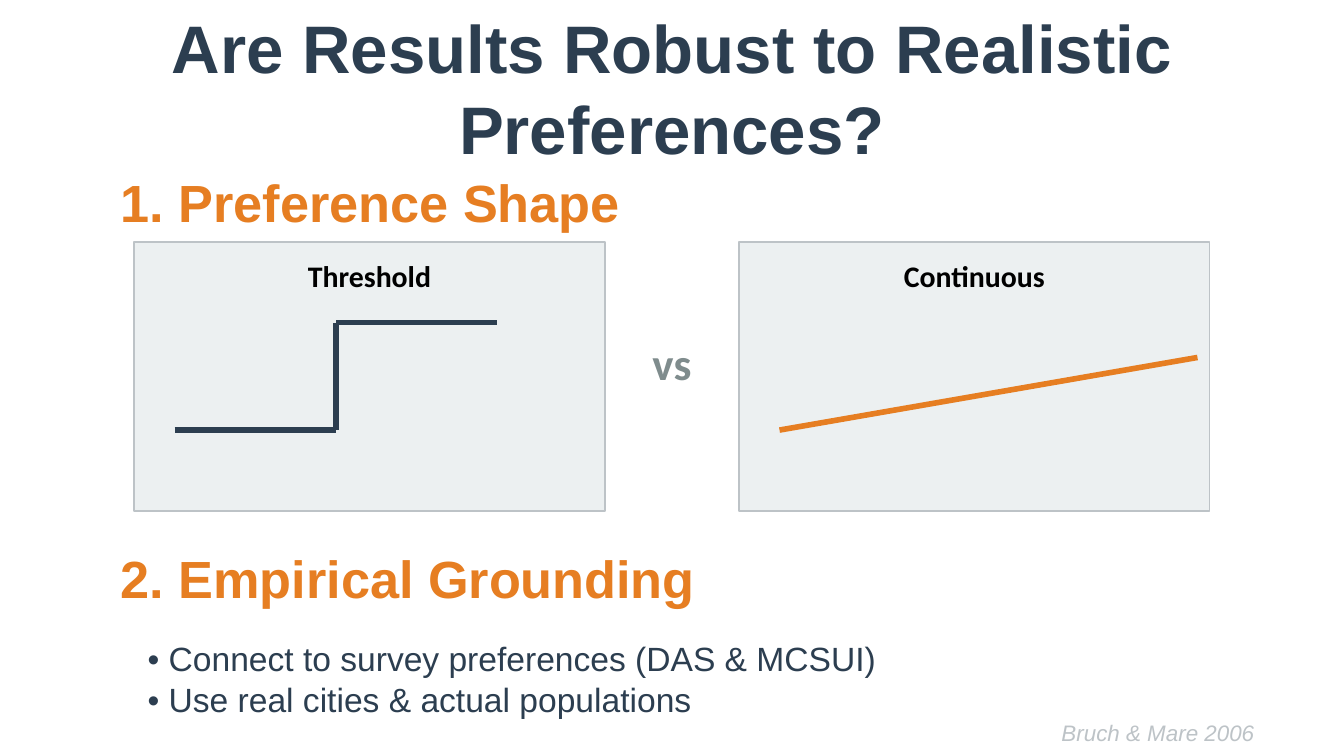
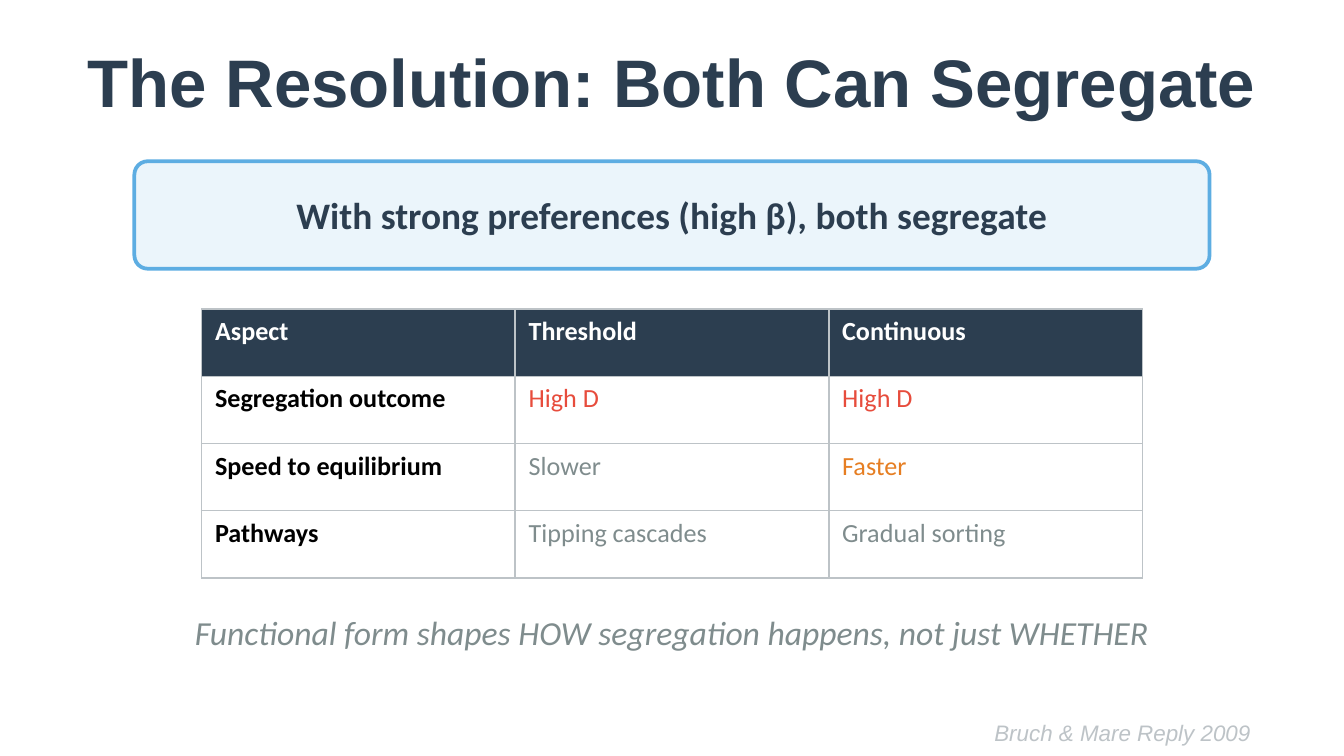
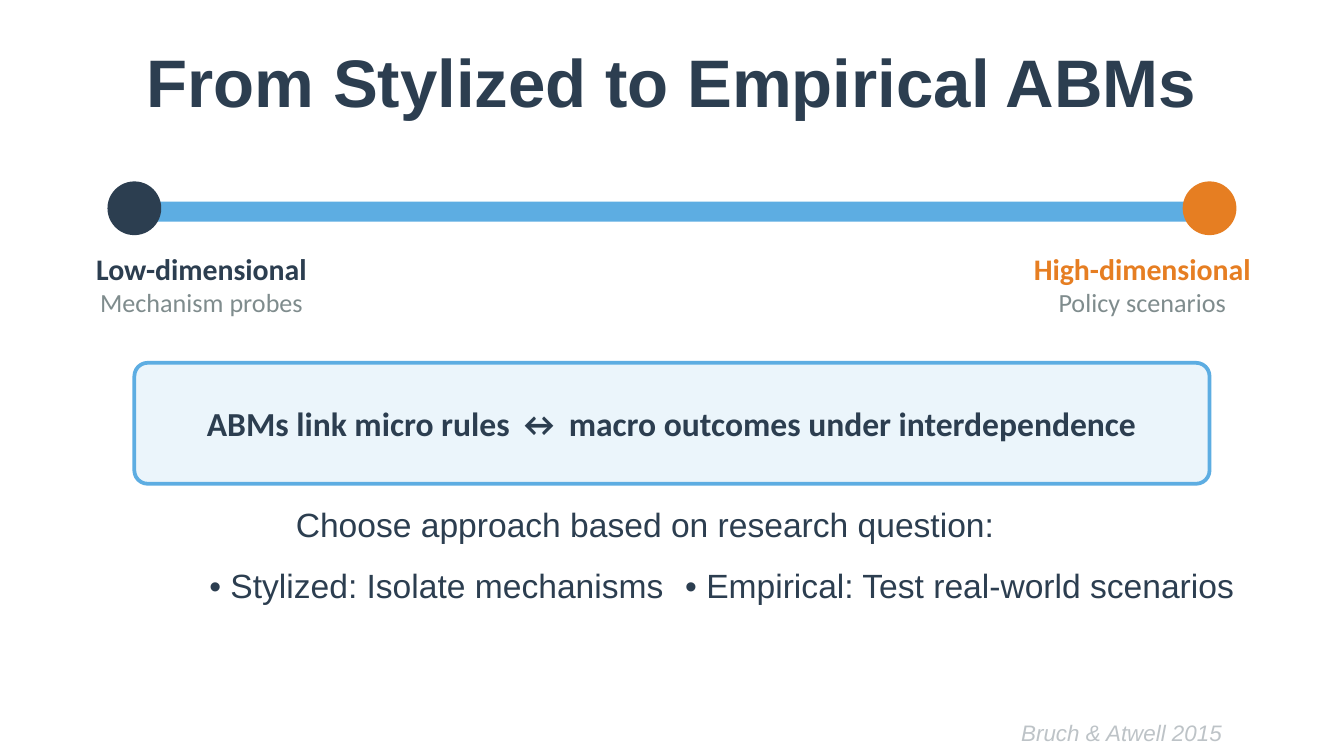
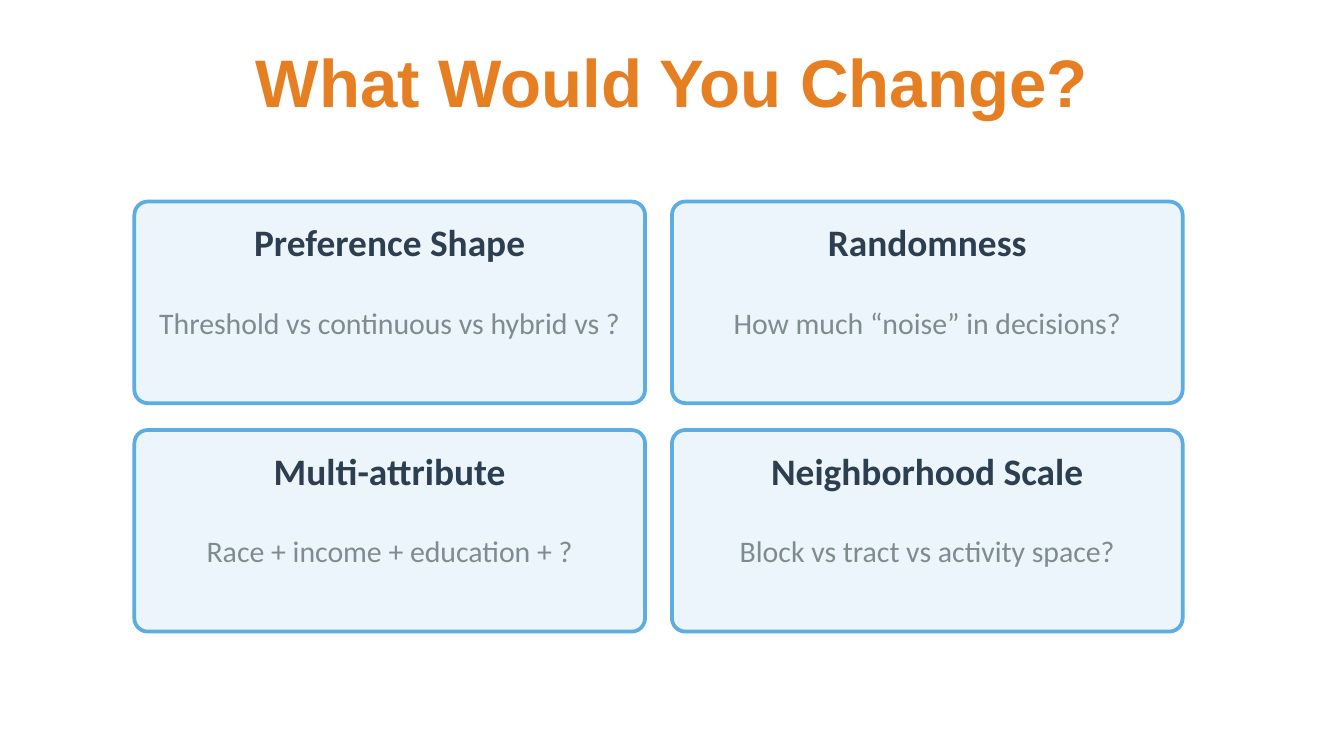
"""Build four slides on segregation models and realistic preferences."""
from dataclasses import dataclass
from itertools import pairwise

from lxml.etree import SubElement
from pptx import Presentation
from pptx.dml.color import RGBColor
from pptx.enum.shapes import MSO_CONNECTOR, MSO_SHAPE
from pptx.enum.text import MSO_ANCHOR, PP_ALIGN
from pptx.oxml.ns import qn
from pptx.presentation import Presentation as Deck
from pptx.shapes.autoshape import Shape
from pptx.slide import Slide
from pptx.table import _Cell
from pptx.text.text import _Paragraph
from pptx.util import Inches, Pt

COLORS = {
    "navy": "2C3E50", "orange": "E67E22", "gray": "7F8C8D", "silver": "BDC3C7",
    "cloud": "ECF0F1", "sky": "5DADE2", "ice": "EBF5FB", "red": "E74C3C",
    "black": "000000", "white": "FFFFFF",
}
HEAD, BODY = "Arial", "Calibri"
CORNER = 0.1


@dataclass(frozen=True)
class Box:
    left: float
    top: float
    width: float
    height: float

    def emu(self) -> list[int]:
        return [Inches(v) for v in (self.left, self.top, self.width, self.height)]


@dataclass(frozen=True)
class Panel:
    left: float
    label: str
    color: str
    points: list[tuple[float, float]]


@dataclass(frozen=True)
class Pole:
    center: float
    label_left: float
    label: str
    use: str
    color: str


@dataclass(frozen=True)
class Card:
    heading: str
    question: str


def rgb(name: str) -> RGBColor:
    return RGBColor.from_string(COLORS[name])


def style(p: _Paragraph, text: str, *, size: int, font: str = BODY, color: str = "navy",
          bold: bool = False, italic: bool = False) -> None:
    r = p.add_run()
    r.text = text
    r.font.size, r.font.name = Pt(size), font
    r.font.bold, r.font.italic = bold, italic
    r.font.color.rgb = rgb(color)


def add_text(s: Slide, box: Box, *lines: str, center: bool = True, **fmt) -> None:
    tf = s.shapes.add_textbox(*box.emu()).text_frame
    tf.word_wrap = True
    tf.vertical_anchor = MSO_ANCHOR.MIDDLE
    for i, line in enumerate(lines):
        p = tf.paragraphs[0] if i == 0 else tf.add_paragraph()
        p.alignment = PP_ALIGN.CENTER if center else PP_ALIGN.LEFT
        style(p, line, **fmt)


def add_box(s: Slide, kind: MSO_SHAPE, box: Box, fill: str, line: str | None = None,
            width: float = 1) -> Shape:
    sp = s.shapes.add_shape(kind, *box.emu())
    sp.shadow.inherit = False
    sp.fill.solid()
    sp.fill.fore_color.rgb = rgb(fill)
    if line:
        sp.line.color.rgb = rgb(line)
        sp.line.width = Pt(width)
    else:
        sp.line.fill.background()
    return sp


def add_callout(s: Slide, box: Box) -> None:
    sp = add_box(s, MSO_SHAPE.ROUNDED_RECTANGLE, box, "ice", "sky", 2)
    sp.adjustments[0] = CORNER / box.height


def add_line(s: Slide, start: tuple[float, float], end: tuple[float, float],
             color: str) -> None:
    cx = s.shapes.add_connector(MSO_CONNECTOR.STRAIGHT, *map(Inches, start + end))
    cx.line.color.rgb = rgb(color)
    cx.line.width = Pt(3)
    SubElement(cx._element.spPr, qn("a:effectLst"))


def add_borders(cell: _Cell) -> None:
    tcPr = cell._tc.get_or_add_tcPr()
    for i, side in enumerate(("lnL", "lnR", "lnT", "lnB")):
        ln = SubElement(tcPr, qn(f"a:{side}"), w=str(Pt(1)))
        fill = SubElement(ln, qn("a:solidFill"))
        SubElement(fill, qn("a:srgbClr"), val=COLORS["silver"])
        tcPr.insert(i, ln)


def add_slide(prs: Deck, title: str, *, color: str = "navy", height: float = 0.6) -> Slide:
    s = prs.slides.add_slide(prs.slide_layouts[6])
    add_text(s, Box(0.5, 0.3, 9, height), title, size=36, font=HEAD, color=color, bold=True)
    return s


def add_source(s: Slide, text: str, width: float) -> None:
    add_text(s, Box(9.8 - width, 5.3, width, 0.3), text, center=False,
             size=12, font=HEAD, color="silver", italic=True)


def add_robustness(prs: Deck) -> None:
    s = add_slide(prs, "Are Results Robust to Realistic Preferences?", height=0.7)
    for top, width, heading in ((1.3, 4, "1. Preference Shape"),
                                (4.1, 5, "2. Empirical Grounding")):
        add_text(s, Box(0.8, top, width, 0.4), heading, center=False, size=28, font=HEAD,
                 color="orange", bold=True)
    panels = [
        Panel(1, "Threshold", "navy", [(1.3, 3.2), (2.5, 3.2), (2.5, 2.4), (3.7, 2.4)]),
        Panel(5.5, "Continuous", "orange", [(5.8, 3.2), (8.91, 2.66)]),
    ]
    for panel in panels:
        add_box(s, MSO_SHAPE.RECTANGLE, Box(panel.left, 1.8, 3.5, 2), "cloud", "silver")
        add_text(s, Box(panel.left, 1.9, 3.5, 0.3), panel.label, size=16, color="black",
                 bold=True)
        for start, end in pairwise(panel.points):
            add_line(s, start, end, panel.color)
    add_text(s, Box(4.7, 2.5, 0.6, 0.4), "vs", size=24, color="gray", bold=True)
    add_text(s, Box(1, 4.65, 8, 0.8), "• Connect to survey preferences (DAS & MCSUI)",
             "• Use real cities & actual populations", center=False, size=18, font=HEAD)
    add_source(s, "Bruch & Mare 2006", 2)


def add_resolution(prs: Deck) -> None:
    s = add_slide(prs, "The Resolution: Both Can Segregate")
    add_callout(s, Box(1, 1.2, 8, 0.8))
    add_text(s, Box(1, 1.4, 8, 0.4), "With strong preferences (high β), both segregate",
             size=20, bold=True)
    rows = [
        ("Aspect", "Threshold", "Continuous"),
        ("Segregation outcome", "High D", "High D"),
        ("Speed to equilibrium", "Slower", "Faster"),
        ("Pathways", "Tipping cascades", "Gradual sorting"),
    ]
    accents = {"High D": "red", "Faster": "orange"}
    table = s.shapes.add_table(len(rows), 3, *Box(1.5, 2.3, 7, 2).emu()).table
    table.horz_banding = False
    for i, row in enumerate(rows):
        for j, text in enumerate(row):
            cell = table.cell(i, j)
            if i == 0:
                cell.fill.solid()
                cell.fill.fore_color.rgb = rgb("navy")
                color = "white"
            else:
                cell.fill.background()
                color = "black" if j == 0 else accents.get(text, "gray")
            add_borders(cell)
            style(cell.text_frame.paragraphs[0], text, size=14, color=color,
                  bold=i == 0 or j == 0)
    add_text(s, Box(1, 4.5, 8, 0.4),
             "Functional form shapes HOW segregation happens, not just WHETHER",
             size=18, color="gray", italic=True)
    add_source(s, "Bruch & Mare Reply 2009", 2.5)


def add_spectrum(prs: Deck) -> None:
    s = add_slide(prs, "From Stylized to Empirical ABMs")
    add_box(s, MSO_SHAPE.RECTANGLE, Box(1, 1.5, 8, 0.15), "sky")
    poles = [
        Pole(1, 0.5, "Low-dimensional", "Mechanism probes", "navy"),
        Pole(9, 7.5, "High-dimensional", "Policy scenarios", "orange"),
    ]
    for pole in poles:
        add_box(s, MSO_SHAPE.OVAL, Box(pole.center - 0.2, 1.35, 0.4, 0.4), pole.color)
        add_text(s, Box(pole.label_left, 1.8, 2, 0.4), pole.label, size=16,
                 color=pole.color, bold=True)
        add_text(s, Box(pole.label_left, 2.1, 2, 0.3), pole.use, size=14, color="gray")
    add_callout(s, Box(1, 2.7, 8, 0.9))
    add_text(s, Box(1, 2.9, 8, 0.5),
             "ABMs link micro rules ↔ macro outcomes under interdependence",
             size=18, bold=True)
    add_text(s, Box(0.8, 3.75, 8, 0.3), "Choose approach based on research question:",
             size=18, font=HEAD)
    for left, width, choice in ((1.46, 4, "• Stylized: Isolate mechanisms"),
                                (5, 4.41, "• Empirical: Test real-world scenarios")):
        add_text(s, Box(left, 4.2, width, 0.3), choice, center=False, size=18, font=HEAD)
    add_source(s, "Bruch & Atwell 2015", 2.3)


def add_questions(prs: Deck) -> None:
    s = add_slide(prs, "What Would You Change?", color="orange")
    cards = [
        Card("Preference Shape", "Threshold vs continuous vs hybrid vs ?"),
        Card("Randomness", "How much “noise” in decisions?"),
        Card("Multi-attribute", "Race + income + education + ?"),
        Card("Neighborhood Scale", "Block vs tract vs activity space?"),
    ]
    width, height, gap = 3.8, 1.5, 0.2
    for i, card in enumerate(cards):
        row, col = divmod(i, 2)
        left, top = 1 + col * (width + gap), 1.5 + row * (height + gap)
        add_callout(s, Box(left, top, width, height))
        add_text(s, Box(left, top + 0.1, width, 0.4), card.heading, size=20, bold=True)
        add_text(s, Box(left, top + 0.6, width, 0.6), card.question, size=16, color="gray")


def main() -> None:
    prs = Presentation()
    prs.slide_width, prs.slide_height = Inches(10), Inches(10 * 9 / 16)
    for build in (add_robustness, add_resolution, add_spectrum, add_questions):
        build(prs)
    prs.save("out.pptx")


if __name__ == "__main__":
    main()
